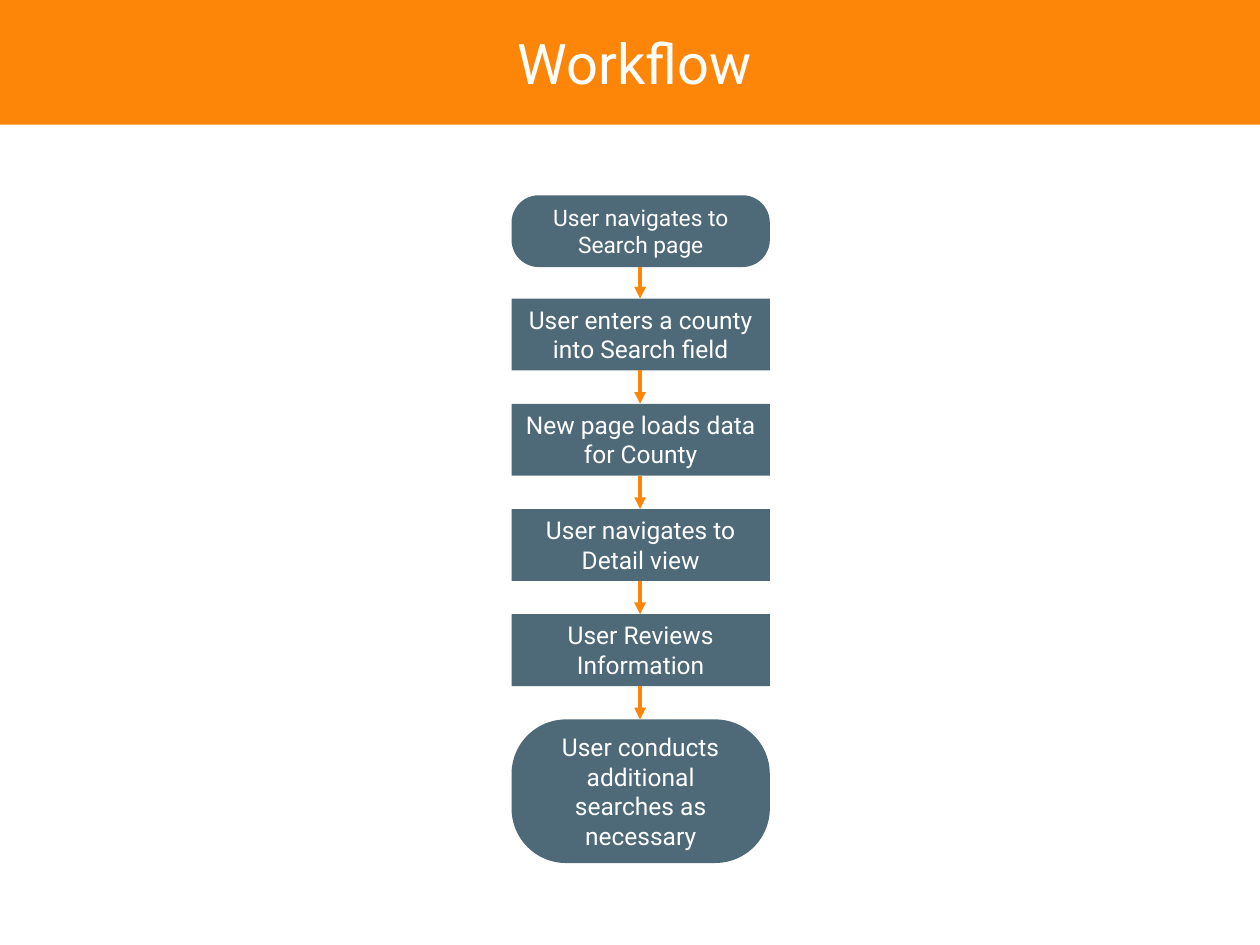
"""Build a slide with a six-step search workflow."""
import dataclasses

import lxml.etree
import pptx
import pptx.dml.color
import pptx.enum.shapes
import pptx.enum.text
import pptx.oxml.ns
import pptx.util

Inches = pptx.util.Inches
Kind = pptx.enum.shapes.MSO_SHAPE
Align = pptx.enum.text.PP_ALIGN
Anchor = pptx.enum.text.MSO_ANCHOR
Fit = pptx.enum.text.MSO_AUTO_SIZE

ORANGE, SLATE, WHITE = "FD8508", "4E6A78", "FFFFFF"
LEFT, WIDTH, MID = 4.06, 2.05, 5.08
START, PITCH = 2.37, 0.835


@dataclasses.dataclass
class Step:
    text: str
    top: float
    height: float = 0.57
    size: int = 14
    round: bool = False


def color(code: str) -> pptx.dml.color.RGBColor:
    return pptx.dml.color.RGBColor.from_string(code)


def write(frame, text: str, size: int, align: Align) -> None:
    frame.word_wrap = True
    para = frame.paragraphs[0]
    para.alignment = align
    run = para.add_run()
    run.text = text
    run.font.name = "Roboto"
    run.font.size = pptx.util.Pt(size)
    run.font.color.rgb = color(WHITE)


def block(slide, kind: Kind, left: float, top: float, width: float, height: float, fill: str):
    shape = slide.shapes.add_shape(kind, Inches(left), Inches(top), Inches(width), Inches(height))
    shape.shadow.inherit = False
    shape.fill.solid()
    shape.fill.fore_color.rgb = color(fill)
    shape.line.fill.background()
    return shape


def draw(slide, step: Step) -> None:
    kind = Kind.ROUNDED_RECTANGLE if step.round else Kind.RECTANGLE
    shape = block(slide, kind, LEFT, step.top, WIDTH, step.height, SLATE)
    frame = shape.text_frame
    if step.round:
        shape.adjustments[0] = 0.38
        frame.vertical_anchor = Anchor.MIDDLE
    else:
        frame.vertical_anchor = Anchor.TOP
        frame.auto_size = Fit.SHAPE_TO_FIT_TEXT
    write(frame, step.text, step.size, Align.CENTER)


def arrow(slide, start: float, end: float) -> None:
    link = slide.shapes.add_connector(
        pptx.enum.shapes.MSO_CONNECTOR.STRAIGHT,
        Inches(MID), Inches(start), Inches(MID), Inches(end))
    link.line.color.rgb = color(ORANGE)
    link.line.width = pptx.util.Pt(2.25)
    qn = pptx.oxml.ns.qn
    lxml.etree.SubElement(link.line._get_or_add_ln(), qn("a:tailEnd"), type="triangle")
    lxml.etree.SubElement(link._element.spPr, qn("a:effectLst"))


def main() -> None:
    deck = pptx.Presentation()
    deck.slide_width, deck.slide_height = Inches(10), Inches(7.5)
    slide = deck.slides.add_slide(deck.slide_layouts[6])

    block(slide, Kind.RECTANGLE, 0, 0, 10, 0.99, ORANGE)
    title = slide.shapes.add_textbox(Inches(4.01), Inches(0.18), Inches(2.13), Inches(0.64))
    title.text_frame.auto_size = Fit.SHAPE_TO_FIT_TEXT
    write(title.text_frame, "Workflow", 32, Align.LEFT)

    texts = [
        "User enters a county into Search field",
        "New page loads data for County",
        "User navigates to Detail view",
        "User Reviews Information",
    ]
    steps = [
        Step("User navigates to Search page", 1.55, size=13, round=True),
        *(Step(text, START + i * PITCH) for i, text in enumerate(texts)),
        Step("User conducts additional searches as necessary",
             START + len(texts) * PITCH, height=1.14, round=True),
    ]
    for step in steps:
        draw(slide, step)
    for step, after in zip(steps, steps[1:]):
        arrow(slide, step.top + step.height, after.top)

    deck.save("out.pptx")


if __name__ == "__main__":
    main()
